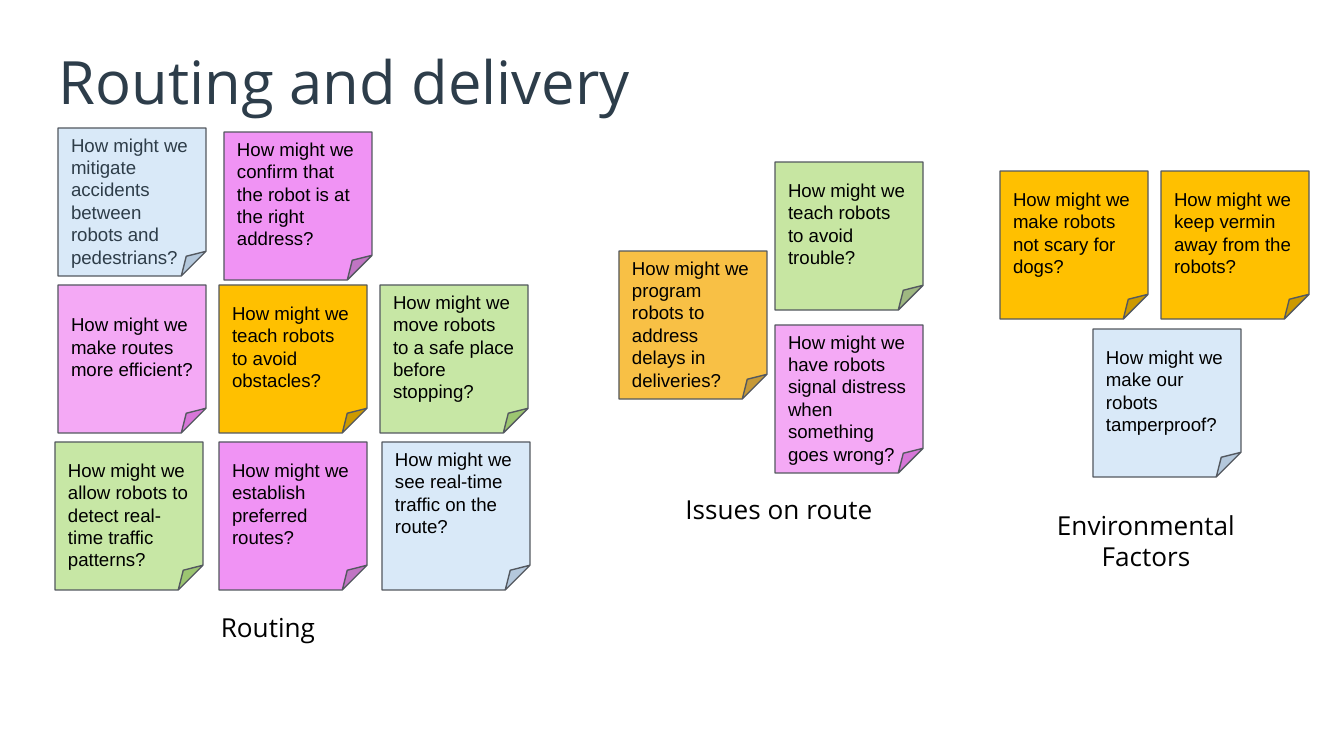
from lxml.etree import SubElement
from pptx import Presentation
from pptx.dml.color import RGBColor
from pptx.enum.shapes import MSO_SHAPE
from pptx.enum.text import MSO_ANCHOR, MSO_AUTO_SIZE, PP_ALIGN
from pptx.oxml.ns import qn
from pptx.util import Pt

PX = 914400 / 134.4
NOTE_SIZE = 148
CAPTION_SIZE = (246, 71)
INSET = 13
NUDGE = 11  # half a line of note text

COLORS = {
    "title": "2D3D4A", "text": "000000", "slate": "2E3D49", "outline": "53585F",
    "blue": "B6D4F3", "green": "92D050", "pink": "EB55ED",
    "light green": "C7E6A2", "orchid": "F093F4",
    "gold": "FFC000", "amber": "F8C045",
}
OPACITY = {"blue": 51, "green": 51, "pink": 50}

# Each note: left, top, colour, question, vertical shift of the question
ROUTING = [
    (3, 0, "blue", "mitigate accidents between robots and pedestrians?", NUDGE),
    (169, 4, "orchid", "confirm that the robot is at the right address?", 0),
    (3, 157, "pink", "make routes more efficient?", 0),
    (164, 157, "gold", "teach robots to avoid obstacles?", 0),
    (325, 157, "green", "move robots to a safe place before stopping?", 0),
    (0, 314, "green", "allow robots to detect real-time traffic patterns?", NUDGE),
    (164, 314, "orchid", "establish preferred routes?", 0),
    (327, 314, "blue", "see real-time traffic on the route?", -NUDGE),
]
ISSUES = [
    (156, 0, "light green", "teach robots to avoid trouble?", 0),
    (156, 163, "pink", "have robots signal distress when something goes wrong?", NUDGE),
    (0, 89, "amber", "program robots to address delays in deliveries?", NUDGE),
]
ENVIRONMENT = [
    (0, 0, "gold", "make robots not scary for dogs?", 0),
    (161, 0, "gold", "keep vermin away from the robots?", 0),
    (93, 158, "blue", "make our robots tamperproof?", 0),
]


def px(*lengths):
    return [round(length * PX) for length in lengths]


def rgb(name):
    return RGBColor.from_string(COLORS[name])


def write(frame, words, font, size, color, align=PP_ALIGN.LEFT,
          anchor=MSO_ANCHOR.TOP, shift=0):
    frame.word_wrap = True
    frame.auto_size = MSO_AUTO_SIZE.NONE
    frame.vertical_anchor = anchor
    frame.margin_left, frame.margin_right = px(INSET, INSET)
    frame.margin_top, frame.margin_bottom = px(INSET + shift, INSET - shift)
    paragraph = frame.paragraphs[0]
    paragraph.alignment = align
    run = paragraph.add_run()
    run.text = words
    run.font.name = font
    run.font.size = Pt(size)
    run.font.color.rgb = rgb(color)


def add_title(slide, box, words):
    title = slide.shapes.title
    title.left, title.top, title.width, title.height = px(*box)
    write(title.text_frame, words, "Open Sans", 32, "title")


def add_note(slide, left, top, color, question, shift, text_color):
    note = slide.shapes.add_shape(
        MSO_SHAPE.FOLDED_CORNER, *px(left, top, NOTE_SIZE, NOTE_SIZE))
    note.shadow.inherit = False
    note.fill.solid()
    note.fill.fore_color.rgb = rgb(color)
    if color in OPACITY:
        tint = note.fill._xPr.find(qn("a:solidFill"))[0]
        SubElement(tint, qn("a:alpha"), val=str(OPACITY[color] * 1000))
    note.line.color.rgb = rgb("outline")
    note.line.width = Pt(0.75)
    write(note.text_frame, f"How might we {question}", "Arial", 10, text_color,
          anchor=MSO_ANCHOR.MIDDLE, shift=shift)


def add_cluster(slide, origin, notes, caption, caption_offset):
    """Place a group of sticky notes and its caption relative to origin."""
    x, y = origin
    for left, top, color, question, shift in notes:
        text_color = "slate" if "pedestrians" in question else "text"
        add_note(slide, x + left, y + top, color, question, shift, text_color)
    dx, dy = caption_offset
    label = slide.shapes.add_textbox(*px(x + dx, y + dy, *CAPTION_SIZE))
    write(label.text_frame, caption, "Open Sans", 14, "text", PP_ALIGN.CENTER)


def main():
    deck = Presentation()
    deck.slide_width, deck.slide_height = px(1344, 756)
    slide = deck.slides.add_slide(deck.slide_layouts[5])
    add_title(slide, (46, 32, 1253, 85), "Routing and delivery")
    add_cluster(slide, (55, 128), ROUTING, "Routing", (90, 470))
    add_cluster(slide, (619, 162), ISSUES, "Issues on route", (37, 318))
    add_cluster(slide, (1000, 171), ENVIRONMENT, "Environmental Factors", (23, 325))
    deck.save("out.pptx")


if __name__ == "__main__":
    main()
